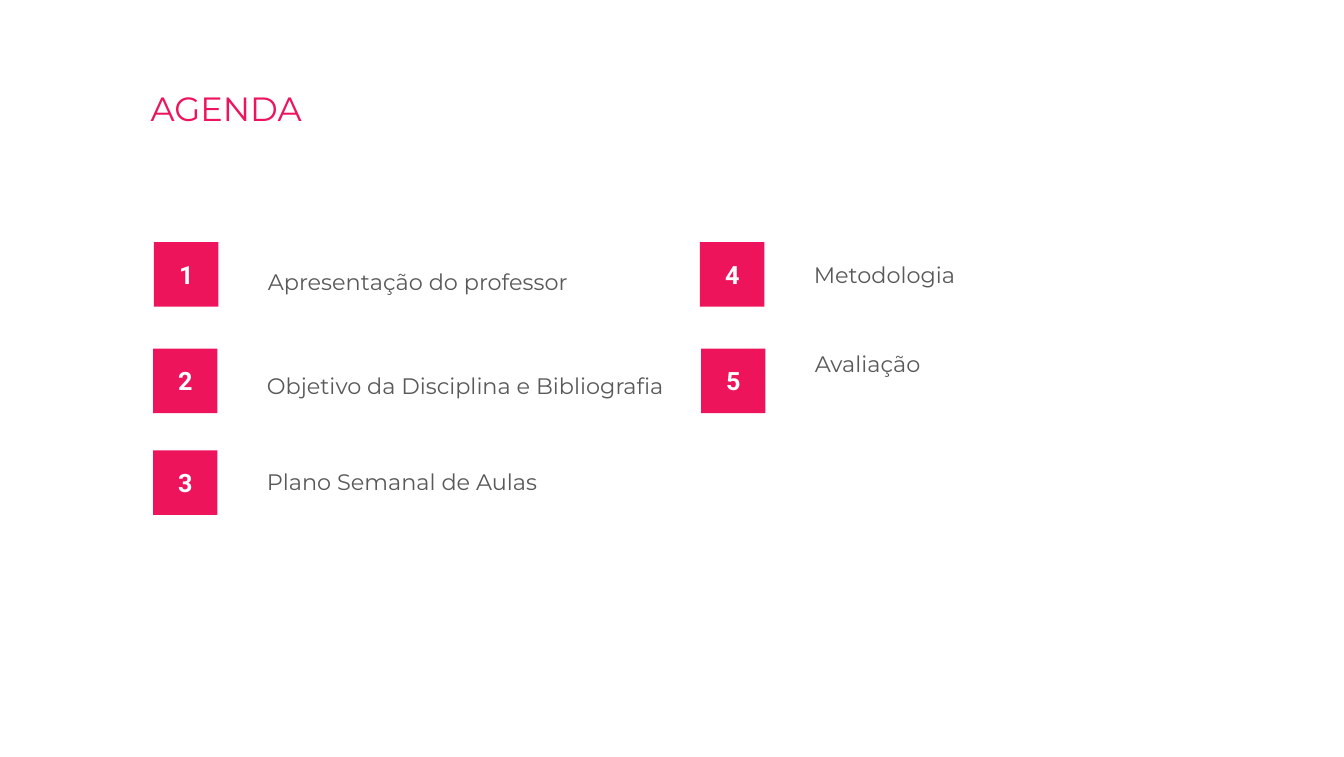
from pptx import Presentation
from pptx.dml.color import RGBColor
from pptx.enum.shapes import MSO_SHAPE
from pptx.enum.text import MSO_ANCHOR, PP_ALIGN
from pptx.util import Pt

PINK = "ED145B"
GRAY = "595959"
WHITE = "FFFFFF"
BADGE_SIZE = 34.5
LABEL_INDENT = 53.9
ROW_TOPS = (129.7, 186.7, 241.2)

AGENDA = [
    ("1", "Apresentação do professor", 82.5, 0, 365.8, 1.6, 31.7, 1.5),
    ("2", "Objetivo da Disciplina e Bibliografia", 82, 1, 360, 3.4, 25.9, 1.5),
    ("3", "Plano Semanal de Aulas", 82, 2, 460.8, 6, 21.6, 1),
    ("4", "Metodologia", 375, 0, 124.6, 6.4, 21.6, 1),
    ("5", "Avaliação", 375.6, 1, 133.2, -2.8, 21.6, 1),
]


def color(value):
    return RGBColor.from_string(value)


def write(frame, text, font_name, size, hue, bold=False):
    paragraph = frame.paragraphs[0]
    run = paragraph.add_run()
    run.text = text
    run.font.name = font_name
    run.font.size = Pt(size)
    run.font.bold = bold
    run.font.color.rgb = color(hue)
    return paragraph


def add_heading(slide, box):
    heading = slide.shapes.add_textbox(*map(Pt, box))
    heading.text_frame.word_wrap = True
    write(heading.text_frame, "AGENDA", "Montserrat", 18, PINK)


def add_agenda_item(slide, box, number, topic, label_drop, label_height, spacing):
    left, top, width, height = box
    label = slide.shapes.add_textbox(
        Pt(left + LABEL_INDENT), Pt(top + label_drop),
        Pt(width - LABEL_INDENT), Pt(label_height))
    label.text_frame.word_wrap = True
    label.text_frame.vertical_anchor = MSO_ANCHOR.MIDDLE
    write(label.text_frame, topic, "Montserrat", 12, GRAY).line_spacing = spacing

    badge = slide.shapes.add_shape(
        MSO_SHAPE.RECTANGLE, Pt(left), Pt(top), Pt(height), Pt(height))
    badge.shadow.inherit = False
    badge.fill.solid()
    badge.fill.fore_color.rgb = color(PINK)
    badge.line.fill.background()
    badge.text_frame.vertical_anchor = MSO_ANCHOR.MIDDLE
    write(badge.text_frame, number, "Roboto", 13.5, WHITE, True).alignment = PP_ALIGN.CENTER


def main():
    deck = Presentation()
    deck.slide_width = Pt(720)
    deck.slide_height = Pt(405.36)
    slide = deck.slides.add_slide(deck.slide_layouts[6])
    slide.background.fill.solid()
    slide.background.fill.fore_color.rgb = color(WHITE)
    add_heading(slide, (73.6, 43.6, 301, 28.8))
    for number, topic, left, row, label_width, drop, label_height, spacing in AGENDA:
        box = (left, ROW_TOPS[row], LABEL_INDENT + label_width, BADGE_SIZE)
        add_agenda_item(slide, box, number, topic, drop, label_height, spacing)
    deck.save("out.pptx")


if __name__ == "__main__":
    main()
